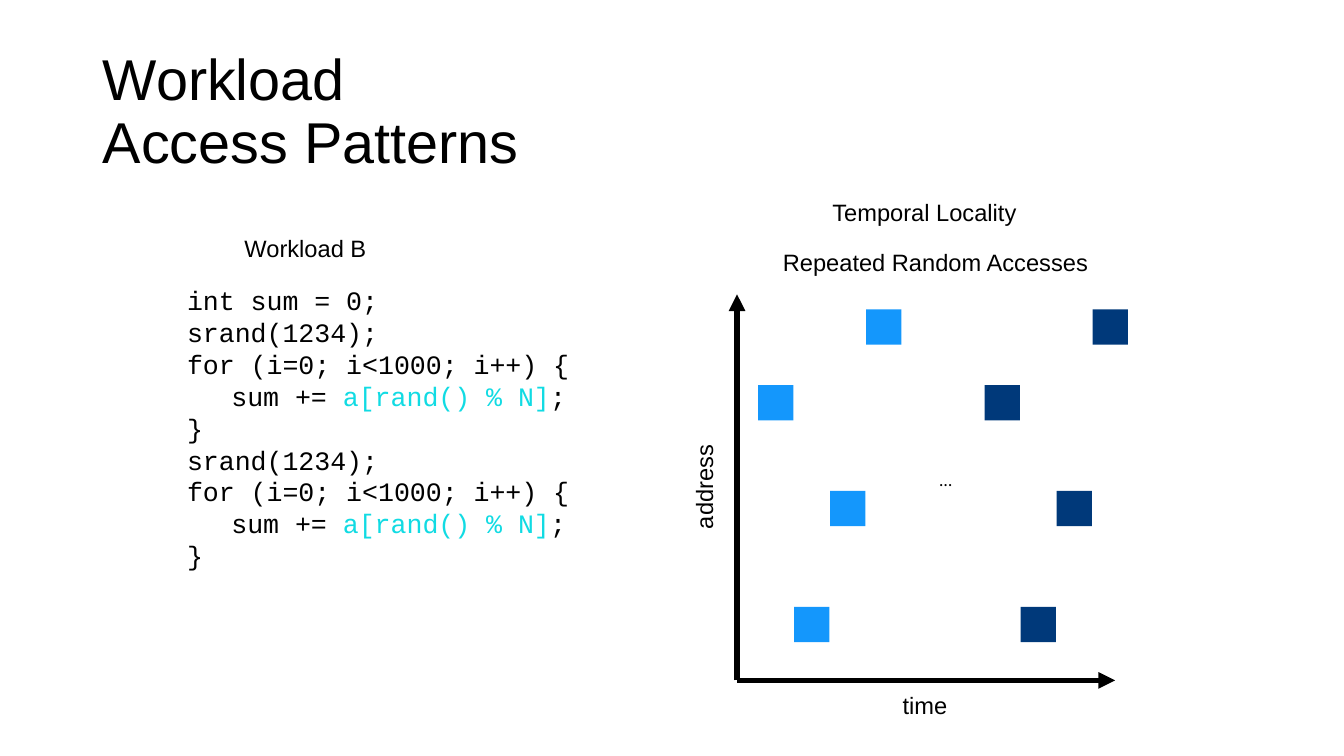
from dataclasses import dataclass

from lxml import etree
from pptx import Presentation
from pptx.dml.color import RGBColor
from pptx.enum.shapes import MSO_CONNECTOR, MSO_SHAPE
from pptx.enum.text import MSO_ANCHOR, PP_ALIGN
from pptx.oxml.ns import qn
from pptx.util import Inches, Pt

RECTANGLE = MSO_SHAPE.RECTANGLE
STRAIGHT = MSO_CONNECTOR.STRAIGHT
MIDDLE, TOP = MSO_ANCHOR.MIDDLE, MSO_ANCHOR.TOP
CENTER, LEFT = PP_ALIGN.CENTER, PP_ALIGN.LEFT
CELL = Inches(0.1)


@dataclass(frozen=True)
class Theme:
    """Colours, fonts and type sizes of the slide."""
    ink: RGBColor = RGBColor(0x00, 0x00, 0x00)
    access: RGBColor = RGBColor(0x11, 0xDB, 0xE3)
    first_pass: RGBColor = RGBColor(0x14, 0x97, 0xFC)
    second_pass: RGBColor = RGBColor(0x00, 0x39, 0x7A)
    sans: str = "Arial"
    mono: str = "Courier New"
    dots: str = "Calibri"
    title_size: float = 41.1
    label_size: float = 16.9
    code_size: float = 19
    code_leading: float = 22.75
    dots_size: float = 12.7
    axis_width: float = 4


def cells(count):
    """Convert grid cells to a slide length."""
    return round(count * CELL)


class Page:
    """One slide drawn on a grid of tenth-inch columns and rows."""

    def __init__(self, deck, theme):
        self.theme = theme
        self.slide = deck.slides.add_slide(deck.slide_layouts[6])

    def text_box(self, column, row, width, height, margins, anchor, wrap):
        """Add an empty text box and return it."""
        box = self.slide.shapes.add_textbox(*map(cells, (column, row, width, height)))
        frame = box.text_frame
        frame.word_wrap = wrap
        frame.vertical_anchor = anchor
        frame.margin_left = frame.margin_right = cells(margins[0])
        frame.margin_top = frame.margin_bottom = cells(margins[1])
        return box

    def style(self, para, font, size, align=LEFT):
        """Set the font and alignment of a paragraph."""
        para.alignment = align
        para.font.name = font
        para.font.size = Pt(size)
        para.font.color.rgb = self.theme.ink

    def title(self, text, column, row, width, height):
        """Add the slide heading."""
        box = self.text_box(column, row, width, height, (1, 0.5), MIDDLE, True)
        para = box.text_frame.paragraphs[0]
        para.text = text
        para.line_spacing = 0.9
        self.style(para, self.theme.sans, self.theme.title_size)

    def label(self, text, column, row, width, font=None, size=None, rotation=0):
        """Add a one-line label centred on a grid point."""
        height = 3.6
        box = self.text_box(column - width / 2, row - height / 2, width, height,
                            (0, 0.4), MIDDLE, False)
        box.rotation = rotation
        para = box.text_frame.paragraphs[0]
        para.text = text
        self.style(para, font or self.theme.sans, size or self.theme.label_size, CENTER)

    def code(self, lines, column, row, width, height, indent):
        """Add a listing of (depth, spans) lines, with accented spans."""
        frame = self.text_box(column, row, width, height, (0, 0), TOP, True).text_frame
        for number, (depth, spans) in enumerate(lines):
            para = frame.add_paragraph() if number else frame.paragraphs[0]
            para.line_spacing = Pt(self.theme.code_leading)
            para._p.get_or_add_pPr().set("marL", str(cells(depth * indent)))
            self.style(para, self.theme.mono, self.theme.code_size)
            for text, accented in spans:
                span = para.add_run()
                span.text = text
                if accented:
                    span.font.color.rgb = self.theme.access

    def axis(self, start, end):
        """Add an arrow between two grid points."""
        arrow = self.slide.shapes.add_connector(STRAIGHT, *map(cells, start + end))
        arrow.line.color.rgb = self.theme.ink
        arrow.line.width = Pt(self.theme.axis_width)
        line = arrow.line._get_or_add_ln()
        etree.SubElement(line, qn("a:tailEnd"), type="triangle")
        etree.SubElement(arrow._element.spPr, qn("a:effectLst"))

    def square(self, column, row, side, color):
        """Add a filled square marking one memory access."""
        shape = self.slide.shapes.add_shape(RECTANGLE, *map(cells, (column, row, side, side)))
        shape.shadow.inherit = False
        shape.fill.solid()
        shape.fill.fore_color.rgb = color
        shape.line.fill.background()


def main():
    """Build the access pattern slide."""
    deck = Presentation()
    deck.slide_width, deck.slide_height = Inches(13.33), Inches(7.5)
    theme = Theme()
    page = Page(deck, theme)

    origin = (73.1, 67.5)
    page.axis(origin, (110.6, 67.5))
    page.axis(origin, (73.1, 29.2))
    page.label("time", 91.75, 69.9, 5.6)
    page.label("address", 69.8, 48.3, 9.6, rotation=270)
    page.label("Repeated Random Accesses", 92.8, 26, 31.6)
    page.label("Temporal Locality", 91.7, 21, 19.5)
    page.label("Workload B", 30.3, 24.6, 13.3)

    address_rows = (38.2, 60.2, 48.7, 30.7)
    passes = ((75.2, theme.first_pass), (97.65, theme.second_pass))
    for first_column, color in passes:
        for step, row in enumerate(address_rows):
            page.square(first_column + 3.57 * step, row, 3.5, color)
    page.label("…", 93.8, 47.55, 2, theme.dots, theme.dots_size)

    page.title("Workload\vAccess Patterns", 9.2, 4, 115, 14.5)

    loop = [
        (0, [("srand(1234);", False)]),
        (0, [("for (i=0; i<1000; i++) {", False)]),
        (1, [("sum += ", False), ("a[rand() % N]", True), (";", False)]),
        (0, [("}", False)]),
    ]
    listing = [(0, [("int sum = 0;", False)])] + loop * 2
    page.code(listing, 18.55, 28.2, 41.6, 29, indent=4.4)

    deck.save("out.pptx")


if __name__ == "__main__":
    main()
